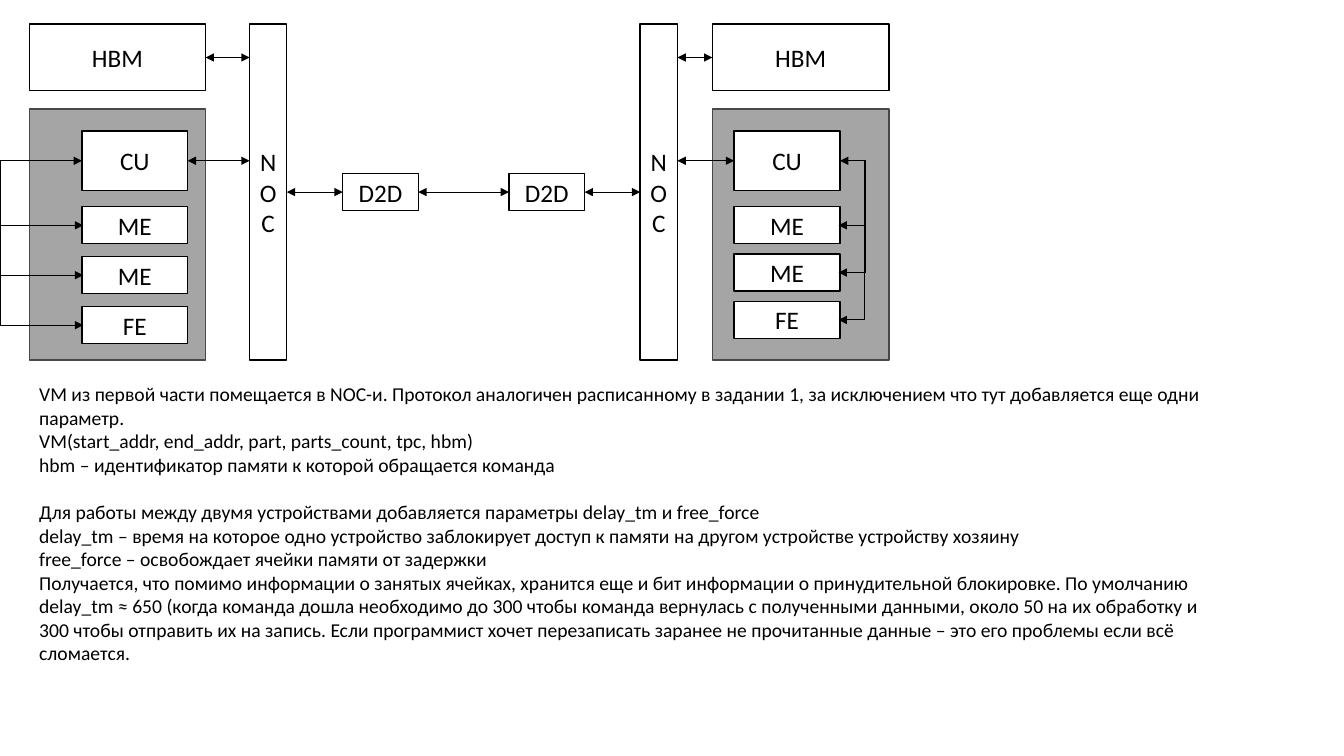
from lxml.etree import SubElement
from pptx import Presentation
from pptx.dml.color import RGBColor
from pptx.enum.shapes import MSO_CONNECTOR, MSO_SHAPE
from pptx.enum.text import MSO_ANCHOR, PP_ALIGN
from pptx.oxml.ns import qn
from pptx.util import Pt

FONT = "Calibri"
TOP, BOTTOM, LEFT, RIGHT = 0, 2, 1, 3  # connection sites of a rectangle
NOTES = [
    "VM из первой части помещается в NOC-и. Протокол аналогичен расписанному в задании 1, "
    "за исключением что тут добавляется еще одни параметр.",
    "VM(start_addr, end_addr, part, parts_count, tpc, hbm)",
    "hbm – идентификатор памяти к которой обращается команда",
    "Для работы между двумя устройствами добавляется параметры delay_tm и free_force",
    "delay_tm – время на которое одно устройство заблокирует доступ к памяти "
    "на другом устройстве устройству хозяину",
    "free_force – освобождает ячейки памяти от задержки",
    "Получается, что помимо информации о занятых ячейках, хранится еще и бит информации "
    "о принудительной блокировке. По умолчанию delay_tm ≈ 650 (когда команда дошла необходимо "
    "до 300 чтобы команда вернулась с полученными данными, около 50 на их обработку и 300 чтобы "
    "отправить их на запись. Если программист хочет перезаписать заранее не прочитанные данные "
    "– это его проблемы если всё сломается.",
]
SECOND_PART = 3  # note that opens the part about two devices


def color(value):
    return RGBColor.from_string(value)


def add_block(slide, x, y, w, h, label="", fill="FFFFFF", line="000000"):
    block = slide.shapes.add_shape(MSO_SHAPE.RECTANGLE, Pt(x), Pt(y), Pt(w), Pt(h))
    block.shadow.inherit = False
    block.fill.solid()
    block.fill.fore_color.rgb = color(fill)
    block.line.color.rgb = color(line)
    block.line.width = Pt(1)
    if label:
        frame = block.text_frame
        frame.word_wrap = True
        frame.vertical_anchor = MSO_ANCHOR.MIDDLE
        paragraph = frame.paragraphs[0]
        paragraph.text = label
        paragraph.alignment = PP_ALIGN.CENTER
        paragraph.font.name = FONT
        paragraph.font.size = Pt(18)
        paragraph.font.color.rgb = color("000000")
    return block


def add_arrow(slide, start, end, kind=MSO_CONNECTOR.STRAIGHT, width=0.5, both=True):
    arrow = slide.shapes.add_connector(kind, *map(Pt, (*start, *end)))
    arrow.line.color.rgb = color("000000")
    arrow.line.width = Pt(width)
    properties = arrow.line._get_or_add_ln()
    for tag in ("a:headEnd", "a:tailEnd") if both else ("a:tailEnd",):
        SubElement(properties, qn(tag), type="triangle")
    SubElement(arrow._element.spPr, qn("a:effectLst"))
    return arrow


def add_bus_arrow(slide, edge, start_y, end_y, bus, **style):
    """Elbow that leaves the edge, runs along the bus and returns to the edge."""
    inward = 1 if bus < edge else -1
    arrow = add_arrow(slide, (edge, start_y), (edge + inward, end_y),
                      MSO_CONNECTOR.ELBOW, **style)
    guides = arrow._element.spPr.find(qn("a:prstGeom")).get_or_add_avLst()
    SubElement(guides, qn("a:gd"), name="adj1",
               fmla=f"val {round(-abs(bus - edge) * 100000)}")


def join(slide, first, first_site, second, second_site):
    arrow = add_arrow(slide, (0, 0), (0, 0))
    arrow.begin_connect(first, first_site)
    arrow.end_connect(second, second_site)


def add_device(slide, x, y, units_dx, pitch, noc_x, bus):
    """One chip: memory, package with its units, and the network beside it."""
    faces_right = noc_x > x
    unit_x, unit_w = x + units_dx, 75.6
    add_block(slide, x, y + 60.5, 126, 179.3, fill="A5A5A5", line="484848")
    hbm = add_block(slide, x, y, 126, 47.5, "HBM")
    noc = add_block(slide, noc_x, y, 26.6, 239.8, "NOC")
    cu = add_block(slide, unit_x, y + 76.3, unit_w, 42.5, "CU")
    cu_y = y + 97.55

    # Engines and their bus to the control unit
    edge = unit_x if faces_right else unit_x + unit_w
    engines = ("ME", "ME", "FE")
    for row, label in enumerate(engines):
        top = y + 130.3 + row * pitch
        last = row == len(engines) - 1
        add_block(slide, unit_x, top, unit_w, 26.6, label)
        add_bus_arrow(slide, edge, cu_y, top + 13.3, bus,
                      width=0.75 if last else 0.5, both=last)

    # Links to the network
    noc_edge = noc_x if faces_right else noc_x + 26.6
    for block, link_y in ((hbm, y + 23.75), (cu, cu_y)):
        link = add_arrow(slide, (noc_edge, link_y), (noc_edge, link_y))
        link.end_connect(block, RIGHT if faces_right else LEFT)
    return noc


def add_bridge(slide, x, y, left_noc, right_noc):
    """Die-to-die chain between the two networks."""
    near, far = (add_block(slide, x + dx, y, 54, 26.6, "D2D") for dx in (0, 118.8))
    chain = (left_noc, near, far, right_noc)
    for first, second in zip(chain, chain[1:]):
        join(slide, first, RIGHT, second, LEFT)


def add_notes(slide, x, y, w, h):
    frame = slide.shapes.add_textbox(Pt(x), Pt(y), Pt(w), Pt(h)).text_frame
    frame.word_wrap = True
    for index, note in enumerate(NOTES):
        paragraph = frame.add_paragraph() if index else frame.paragraphs[0]
        paragraph.text = note
        paragraph.font.name = FONT
        paragraph.font.size = Pt(14)
        paragraph.font.color.rgb = color("000000")
        if index == SECOND_PART:
            paragraph.space_before = Pt(17)


def main():
    deck = Presentation()
    deck.slide_width, deck.slide_height = Pt(960), Pt(540)
    slide = deck.slides.add_slide(deck.slide_layouts[6])
    left_noc = add_device(slide, 20.9, 17.3, units_dx=37.6, pitch=35.7, noc_x=178.3, bus=0)
    right_noc = add_device(slide, 508.9, 17.3, units_dx=15.5, pitch=33.8, noc_x=457.3, bus=618)
    add_bridge(slide, 244.8, 123.9, left_noc, right_noc)
    add_notes(slide, 20.9, 269.3, 852.5, 211)
    deck.save("out.pptx")


if __name__ == "__main__":
    main()
